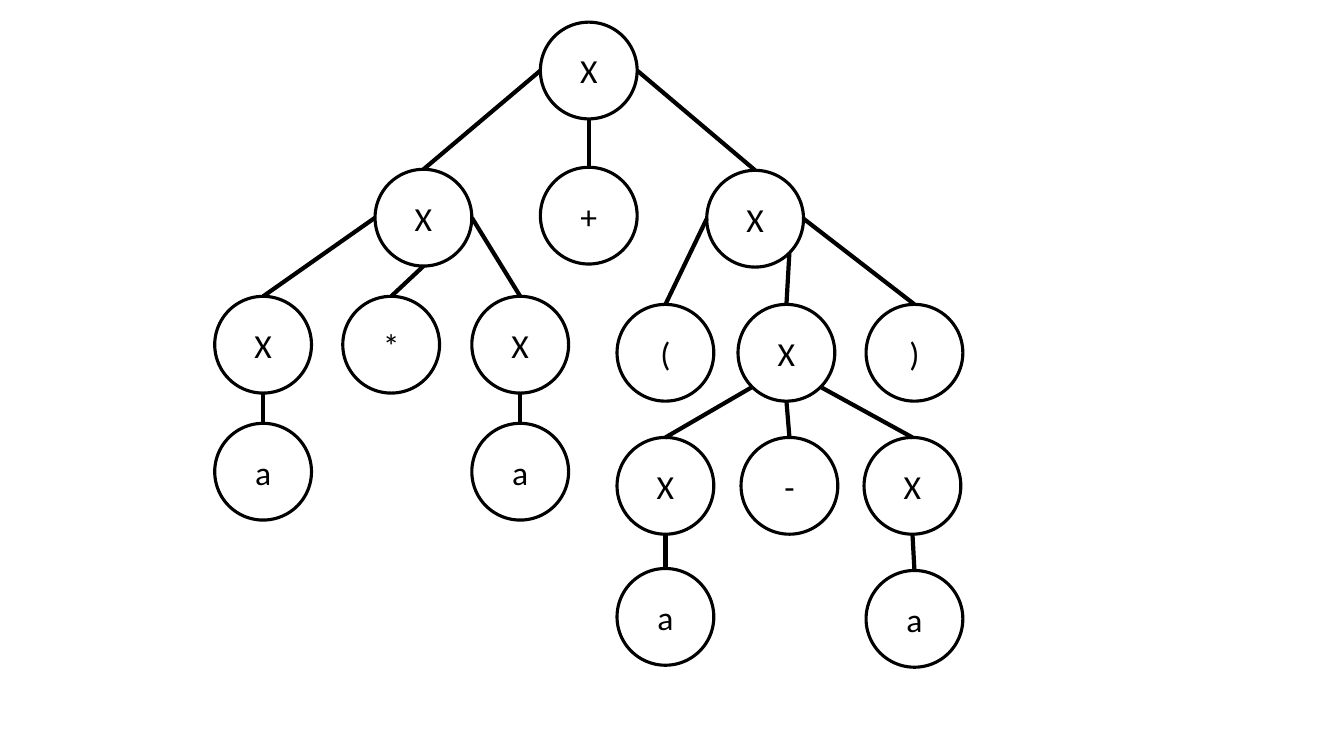
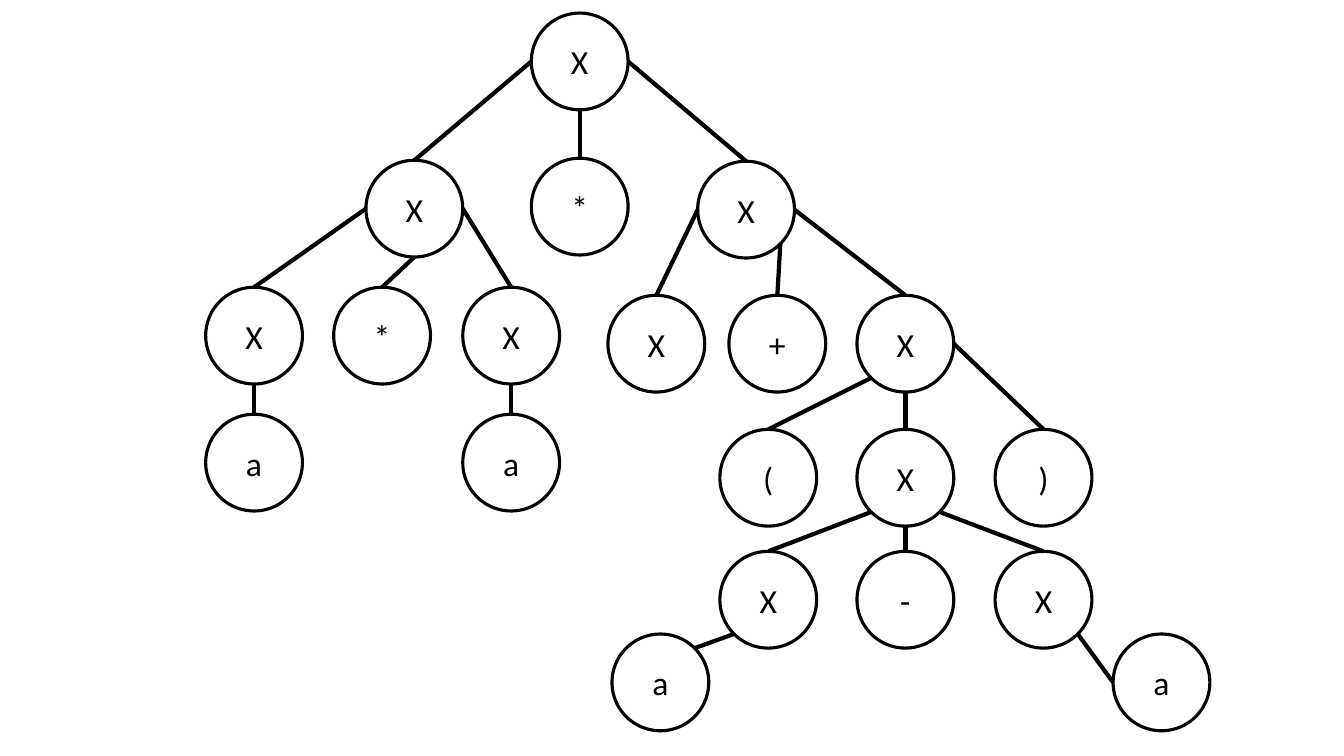
import math

from pptx import Presentation
from pptx.dml.color import RGBColor
from pptx.enum.shapes import MSO_CONNECTOR, MSO_SHAPE
from pptx.enum.text import MSO_ANCHOR, PP_ALIGN
from pptx.oxml.ns import qn
from pptx.util import Inches, Pt
from lxml import etree

OVAL, STRAIGHT = MSO_SHAPE.OVAL, MSO_CONNECTOR.STRAIGHT
MIDDLE, CENTER = MSO_ANCHOR.MIDDLE, PP_ALIGN.CENTER
WHITE = RGBColor(0xFF, 0xFF, 0xFF)
BLACK = RGBColor(0x00, 0x00, 0x00)
FONT = "Calibri"
SLIDE_WIDTH, SLIDE_HEIGHT = 13.33, 7.5
DIAMETER = 0.96

# Connection sites of an ellipse, counted counter-clockwise from the top
TOP, LEFT, LOWER_LEFT, BOTTOM, LOWER_RIGHT, RIGHT, UPPER_RIGHT = 0, 2, 3, 4, 5, 6, 7

# Upper levels of both trees: name -> left, top
UPPER_NODES = {
    "root": (5.36, 0.22),
    "left": (3.72, 1.68), "middle": (5.36, 1.66), "right": (7.01, 1.69),
    "left.1": (2.13, 2.94), "left.2": (3.4, 2.94), "left.3": (4.68, 2.94),
    "right.1": (6.12, 3.02), "right.2": (7.32, 3.02), "right.3": (8.59, 3.02),
    "left.1.a": (2.13, 4.2), "left.3.a": (4.68, 4.2),
}
# Edges: parent, site on parent, child, site on child
UPPER_EDGES = [
    ("root", LEFT, "left", TOP),
    ("root", BOTTOM, "middle", TOP),
    ("root", RIGHT, "right", TOP),
    ("left", LEFT, "left.1", TOP),
    ("left", BOTTOM, "left.2", TOP),
    ("left", RIGHT, "left.3", TOP),
    ("left.1", BOTTOM, "left.1.a", TOP),
    ("left.3", BOTTOM, "left.3.a", TOP),
    ("right", LEFT, "right.1", TOP),
    ("right", LOWER_RIGHT, "right.2", TOP),
    ("right", RIGHT, "right.3", TOP),
]

TREES = [
    {
        "shift": 0,
        "upper_labels": "X X + X X * X ( X ) a a".split(),
        "lower_nodes": {
            "minuend": ("X", 6.12, 4.34), "minus": ("-", 7.35, 4.34),
            "subtrahend": ("X", 8.57, 4.34),
            "minuend.a": ("a", 6.12, 5.64), "subtrahend.a": ("a", 8.59, 5.66),
        },
        "lower_edges": [
            ("right.2", LOWER_LEFT, "minuend", TOP),
            ("right.2", BOTTOM, "minus", TOP),
            ("right.2", LOWER_RIGHT, "subtrahend", TOP),
            ("minuend", BOTTOM, "minuend.a", TOP),
            ("subtrahend", BOTTOM, "subtrahend.a", TOP),
        ],
    },
    {
        "shift": -0.09,
        "upper_labels": "X X * X X * X X + X a a".split(),
        "lower_nodes": {
            "open": ("(", 7.14, 4.26), "inner": ("X", 8.5, 4.26),
            "close": (")", 9.87, 4.26),
            "minuend": ("X", 7.14, 5.47), "minus": ("-", 8.5, 5.47),
            "subtrahend": ("X", 9.87, 5.47),
            "minuend.a": ("a", 6.07, 6.29), "subtrahend.a": ("a", 11.04, 6.29),
        },
        "lower_edges": [
            ("right.3", LOWER_LEFT, "open", TOP),
            ("right.3", BOTTOM, "inner", TOP),
            ("right.3", RIGHT, "close", TOP),
            ("inner", LOWER_LEFT, "minuend", TOP),
            ("inner", BOTTOM, "minus", TOP),
            ("inner", LOWER_RIGHT, "subtrahend", TOP),
            ("minuend", LOWER_LEFT, "minuend.a", UPPER_RIGHT),
            ("subtrahend", LOWER_RIGHT, "subtrahend.a", LEFT),
        ],
    },
]


def add_node(slide, label, left, top):
    shape = slide.shapes.add_shape(
        OVAL, Inches(left), Inches(top), Inches(DIAMETER), Inches(DIAMETER))
    shape.shadow.inherit = False
    shape.fill.solid()
    shape.fill.fore_color.rgb = WHITE
    shape.line.color.rgb = BLACK
    shape.line.width = Pt(2.25)
    text_frame = shape.text_frame
    text_frame.text = label
    text_frame.vertical_anchor = MIDDLE
    paragraph = text_frame.paragraphs[0]
    paragraph.alignment = CENTER
    font = paragraph.runs[0].font
    font.name, font.size, font.color.rgb = FONT, Pt(24), BLACK
    return shape


def site_point(shape, site):
    angle = site * math.pi / 4
    radius = shape.width / 2
    return (round(shape.left + radius * (1 - math.sin(angle))),
            round(shape.top + radius * (1 - math.cos(angle))))


def add_edge(slide, parent, parent_site, child, child_site):
    """Draw a line glued to a connection site of each node."""
    connector = slide.shapes.add_connector(
        STRAIGHT, *site_point(parent, parent_site), *site_point(child, child_site))
    connector.line.color.rgb = BLACK
    connector.line.width = Pt(3)
    properties = connector._element.spPr
    etree.SubElement(properties, qn("a:effectLst"))
    joints = connector._element.find(".//" + qn("p:cNvCxnSpPr"))
    for tag, shape, site in (("a:stCxn", parent, parent_site),
                             ("a:endCxn", child, child_site)):
        etree.SubElement(joints, qn(tag), id=str(shape.shape_id), idx=str(site))


def add_tree(slide, tree):
    shift = tree["shift"]
    nodes = {
        name: add_node(slide, label, left + shift, top + shift)
        for label, (name, (left, top)) in zip(tree["upper_labels"], UPPER_NODES.items())
    }
    for name, node in tree["lower_nodes"].items():
        nodes[name] = add_node(slide, *node)
    for parent, parent_site, child, child_site in UPPER_EDGES + tree["lower_edges"]:
        add_edge(slide, nodes[parent], parent_site, nodes[child], child_site)


def main():
    presentation = Presentation()
    presentation.slide_width = Inches(SLIDE_WIDTH)
    presentation.slide_height = Inches(SLIDE_HEIGHT)
    blank_layout = presentation.slide_layouts[6]
    for tree in TREES:
        add_tree(presentation.slides.add_slide(blank_layout), tree)
    presentation.save("out.pptx")


if __name__ == "__main__":
    main()
